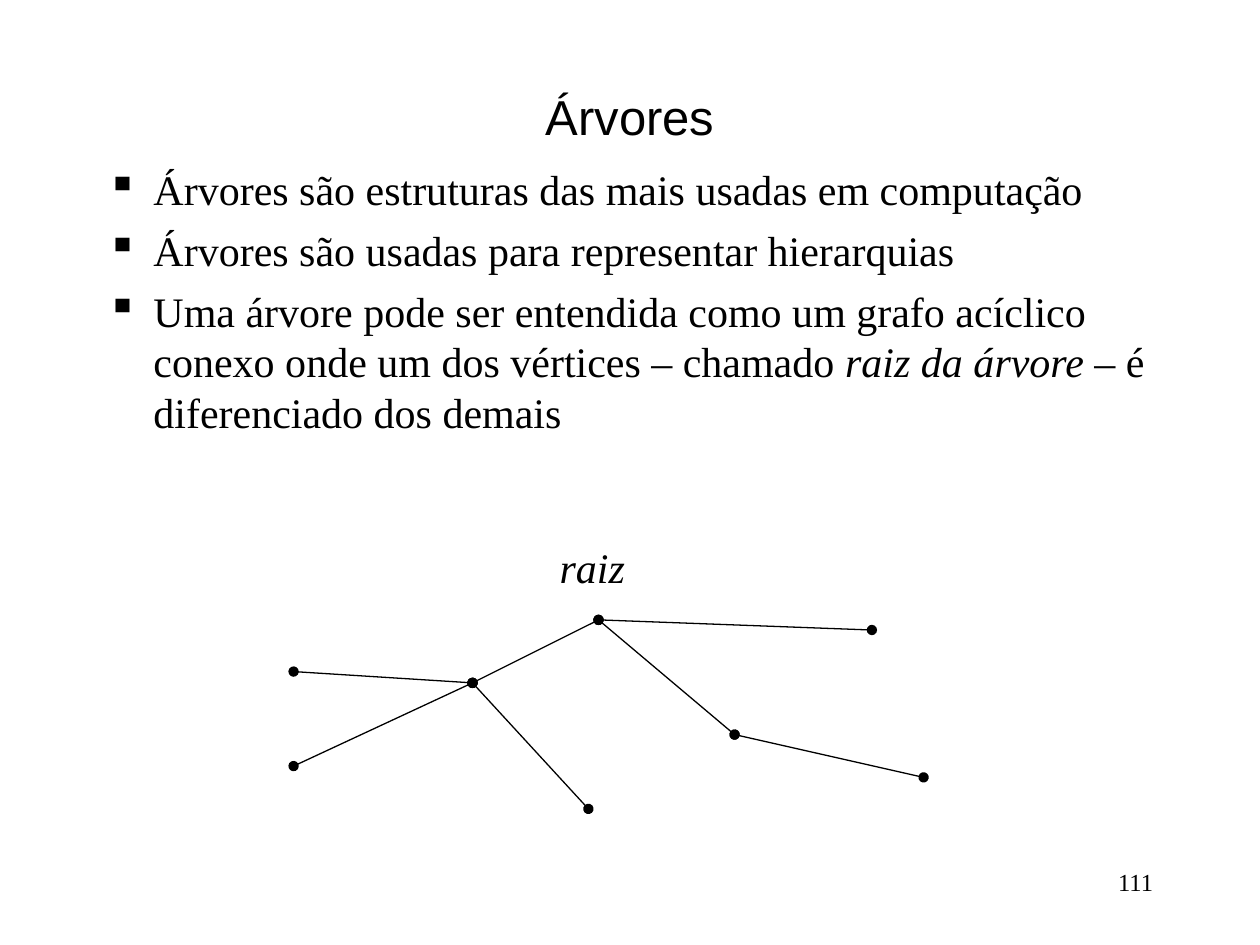
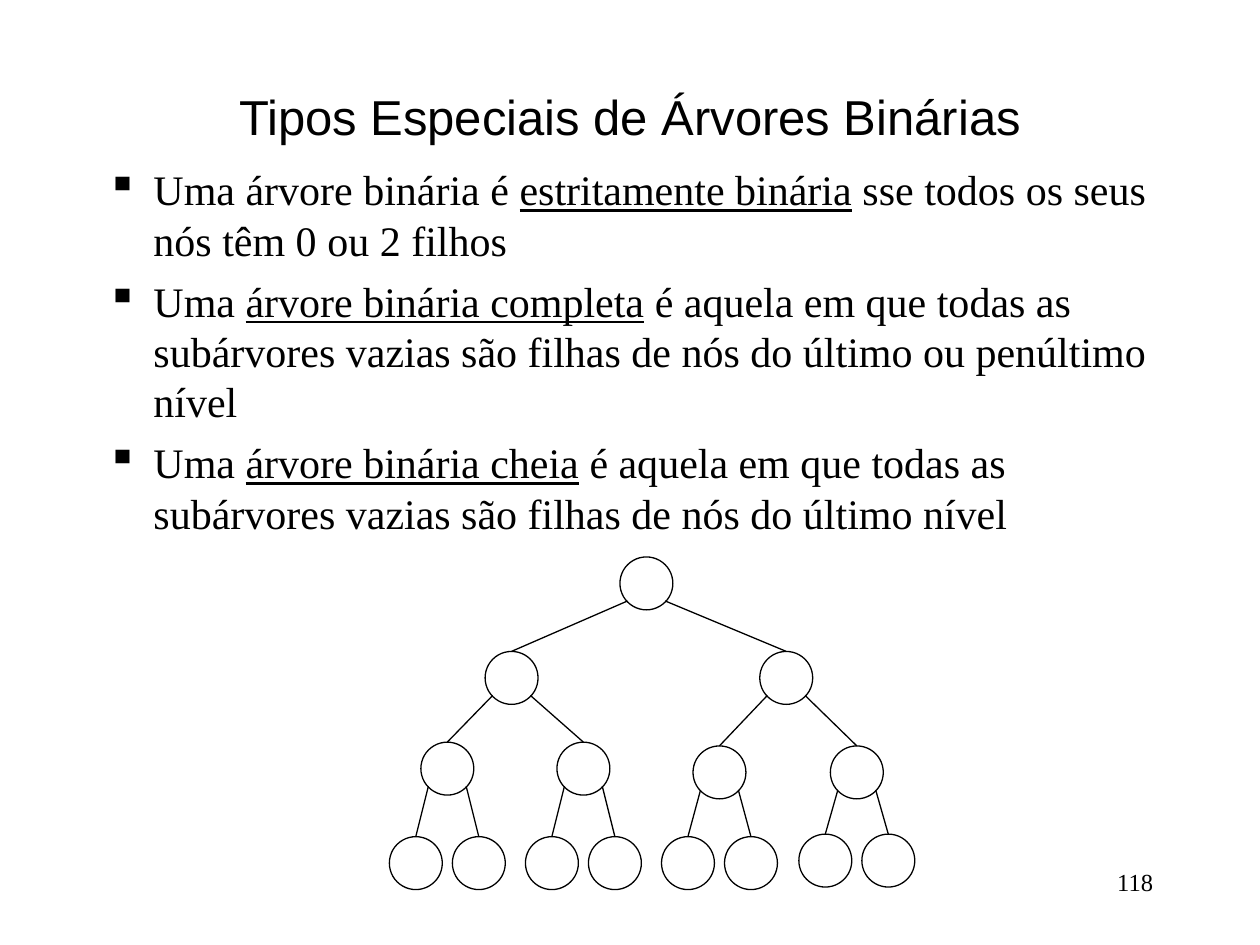
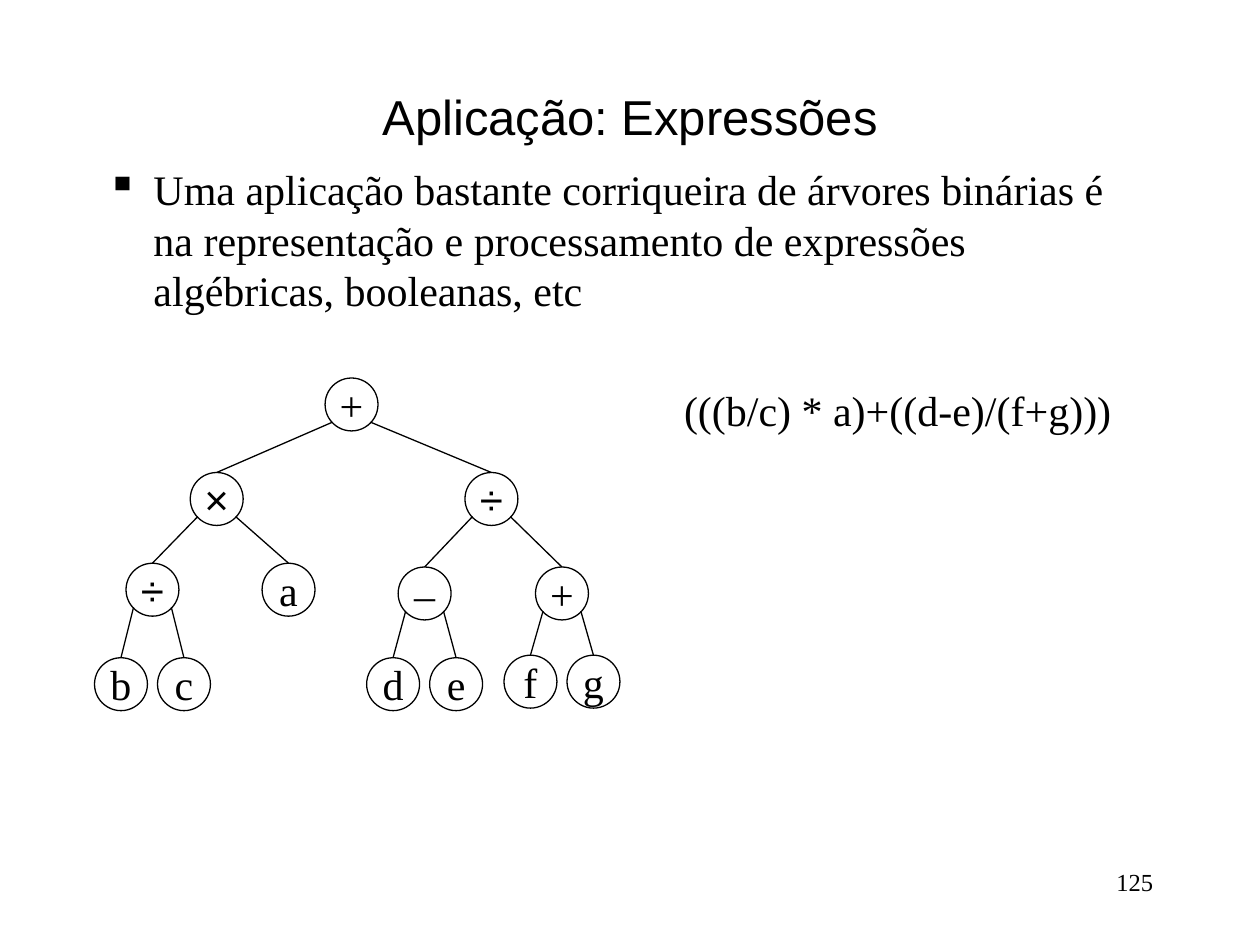
from pptx import Presentation
from pptx.dml.color import RGBColor
from pptx.enum.shapes import MSO_CONNECTOR, MSO_SHAPE
from pptx.enum.text import MSO_ANCHOR, PP_ALIGN
from pptx.oxml.ns import qn
from pptx.util import Inches, Pt
from lxml.etree import SubElement

BLACK = "000000"
SERIF, SANS = "Times New Roman", "Arial"
TITLE_BOX = (0.75, 0.67, 8.5, 0.5)
BODY_BOX = (0.75, 1.25, 8.5, 5.42)
NUMBER_BOX = (7.17, 6.83, 2.08, 0.5)
BULLET_INDENT = 0.37
NODE_SIZE = 0.42
EDGE_SPREAD, EDGE_DROP = 0.15, 0.35

# Each bullet is a list of (text, style) runs.
GENERAL = {
    "title": "Árvores",
    "number": "111",
    "bullets": [
        [("Árvores são estruturas das mais usadas em computação", "")],
        [("Árvores são usadas para representar hierarquias", "")],
        [("Uma árvore pode ser entendida como um grafo acíclico conexo onde "
          "um dos vértices – chamado ", ""),
         ("raiz da árvore", "italic"),
         (" – é diferenciado dos demais", "")],
    ],
}
SPECIAL = {
    "title": "Tipos Especiais de Árvores Binárias",
    "number": "118",
    "bullets": [
        [("Uma árvore binária é ", ""),
         ("estritamente binária", "underline"),
         (" sse todos os seus nós têm 0 ou 2 filhos", "")],
        [("Uma ", ""),
         ("árvore binária completa", "underline"),
         (" é aquela em que todas as subárvores vazias são filhas de nós "
          "do último ou penúltimo nível", "")],
        [("Uma ", ""),
         ("árvore binária cheia", "underline"),
         (" é aquela em que todas as subárvores vazias são filhas de nós "
          "do último nível", "")],
    ],
}
EXPRESSIONS = {
    "title": "Aplicação: Expressões",
    "number": "125",
    "bullets": [
        [("Uma aplicação bastante corriqueira de árvores binárias é na "
          "representação e processamento de expressões algébricas, "
          "booleanas, etc", "")],
    ],
}

VERTICES = {
    "root": (4.75, 4.92), "hub": (3.75, 5.42), "right": (5.83, 5.83),
    "far right": (6.92, 5), "low right": (7.33, 6.17),
    "low left": (2.33, 6.08), "left": (2.33, 5.33), "bottom": (4.67, 6.42),
}
EDGES = [
    ("root", "hub"), ("root", "right"), ("far right", "root"),
    ("right", "low right"), ("hub", "low left"), ("hub", "left"),
    ("bottom", "hub"),
]

# Offsets from the root, level by level: node n has children 2n and 2n + 1.
NODE_OFFSETS = dict(enumerate([
    (0, 0),
    (-1.07, 0.75), (1.11, 0.75),
    (-1.58, 1.47), (-0.5, 1.47), (0.58, 1.5), (1.67, 1.5),
    (-1.83, 2.22), (-1.33, 2.22), (-0.75, 2.22), (-0.25, 2.22),
    (0.33, 2.22), (0.83, 2.22), (1.42, 2.2), (1.92, 2.2),
], start=1))
EMPTY_LABELS = dict.fromkeys(NODE_OFFSETS, "")
EXPRESSION_LABELS = {
    1: "+", 2: "×", 3: "÷", 4: "÷", 5: "a", 6: "–", 7: "+",
    8: "b", 9: "c", 12: "d", 13: "e", 14: "f", 15: "g",
}


def color(value):
    return RGBColor.from_string(value)


def set_font(font, size, name=SERIF):
    font.size = Pt(size)
    font.name = name
    font.color.rgb = color(BLACK)


def add_text(slide, box, text, size, name=SERIF, align=PP_ALIGN.CENTER, wrap=True):
    shape = slide.shapes.add_textbox(*map(Inches, box))
    shape.text_frame.word_wrap = wrap
    paragraph = shape.text_frame.paragraphs[0]
    paragraph.text = text
    paragraph.alignment = align
    set_font(paragraph.font, size, name)
    return shape


def add_bullets(slide, bullets):
    frame = slide.shapes.add_textbox(*map(Inches, BODY_BOX)).text_frame
    frame.word_wrap = True
    for index, runs in enumerate(bullets):
        paragraph = frame.add_paragraph() if index else frame.paragraphs[0]
        paragraph.space_before = Pt(6)
        set_font(paragraph.font, 24)
        properties = paragraph._p.get_or_add_pPr()
        properties.set("marL", str(Inches(BULLET_INDENT)))
        properties.set("indent", str(-Inches(BULLET_INDENT)))
        bullet = properties.makeelement(qn("a:buChar"), {"char": "▪"})
        properties.find(qn("a:spcBef")).addnext(bullet)
        for text, style in runs:
            run = paragraph.add_run()
            run.text = text
            if style:
                setattr(run.font, style, True)


def add_line(slide, start, end, ovals=False):
    line = slide.shapes.add_connector(
        MSO_CONNECTOR.STRAIGHT, *map(Inches, (*start, *end)))
    line.line.color.rgb = color(BLACK)
    line.line.width = Pt(0.75)
    if ovals:
        outline = line.line._get_or_add_ln()
        for tag in ("a:headEnd", "a:tailEnd"):
            SubElement(outline, qn(tag), type="oval")
    SubElement(line._element.spPr, qn("a:effectLst"))
    return line


def add_node(slide, left, top, label):
    node = slide.shapes.add_shape(
        MSO_SHAPE.OVAL, *map(Inches, (left, top, NODE_SIZE, NODE_SIZE)))
    node.shadow.inherit = False
    node.fill.background()
    node.line.color.rgb = color(BLACK)
    node.line.width = Pt(0.75)
    if label:
        frame = node.text_frame
        frame.word_wrap = False
        frame.vertical_anchor = MSO_ANCHOR.MIDDLE
        paragraph = frame.paragraphs[0]
        paragraph.text = label
        paragraph.alignment = PP_ALIGN.CENTER
        set_font(paragraph.font, 24, SANS if label in "×÷" else SERIF)
    return node


def add_binary_tree(slide, root_left, root_top, labels):
    """Draw the labelled nodes and join each one to its parent."""
    places = {number: (root_left + x, root_top + y)
              for number, (x, y) in NODE_OFFSETS.items()}
    for number, label in labels.items():
        left, top = places[number]
        node = add_node(slide, left, top, label)
        if number > 1:
            parent_left, parent_top = places[number // 2]
            side = 1 if number % 2 else -1
            start = (parent_left + NODE_SIZE / 2 + side * EDGE_SPREAD,
                     parent_top + EDGE_DROP)
            edge = add_line(slide, start, (left + NODE_SIZE / 2, top))
            edge.end_connect(node, 0)


def add_slide(presentation, content):
    slide = presentation.slides.add_slide(presentation.slide_layouts[6])
    title = add_text(slide, TITLE_BOX, content["title"], 28, SANS)
    title.text_frame.vertical_anchor = MSO_ANCHOR.MIDDLE
    add_bullets(slide, content["bullets"])
    add_text(slide, NUMBER_BOX, content["number"], 14, align=PP_ALIGN.RIGHT)
    return slide


def main():
    presentation = Presentation()
    presentation.slide_width = Inches(10)
    presentation.slide_height = Inches(7.5)

    slide = add_slide(presentation, GENERAL)
    for start, end in EDGES:
        add_line(slide, VERTICES[start], VERTICES[end], ovals=True)
    root_label = add_text(slide, (4.34, 4.25, 0.72, 0.5), "raiz", 24, wrap=False)
    root_label.text_frame.paragraphs[0].font.italic = True

    slide = add_slide(presentation, SPECIAL)
    add_binary_tree(slide, 4.92, 4.42, EMPTY_LABELS)

    slide = add_slide(presentation, EXPRESSIONS)
    add_binary_tree(slide, 2.58, 3, EXPRESSION_LABELS)
    add_text(slide, (5.33, 3, 3.59, 0.5), "(((b/c) * a)+((d-e)/(f+g)))", 24, wrap=False)

    presentation.save("out.pptx")


if __name__ == "__main__":
    main()
